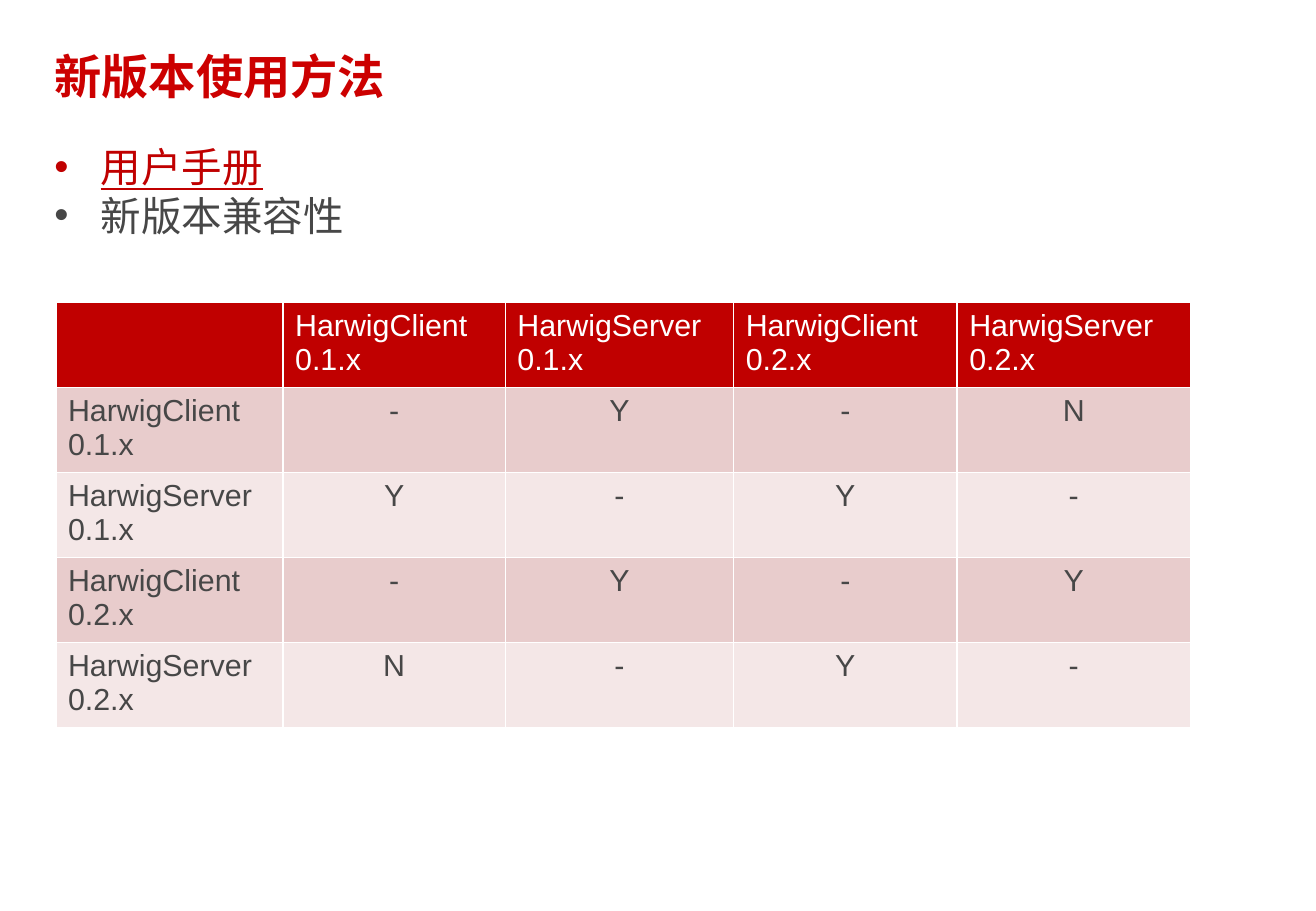
"""Build the slide on using the new version and its compatibility."""
from dataclasses import dataclass

from lxml import etree
from pptx import Presentation
from pptx import util as u
from pptx.dml.color import RGBColor
from pptx.enum import text
from pptx.oxml import ns

SLIDE_WIDTH, SLIDE_HEIGHT = u.Inches(10.83), u.Inches(7.5)
GRID_COLUMNS, GRID_ROWS = 130, 90
HEADING_FONT, TABLE_FONT = "Noto Sans CJK SC", "Arial"
RED, GREY, WHITE = "C00000", "474747", "FFFFFF"
BANDS = ("E8CCCC", "F4E7E7")
COMPONENTS = ("HarwigClient 0.1.x", "HarwigServer 0.1.x",
              "HarwigClient 0.2.x", "HarwigServer 0.2.x")
COMPATIBILITY = ("-Y-N", "Y-Y-", "-Y-Y", "N-Y-")
COLUMN_WIDTHS = (22.44, 21.96, 22.56, 22.08, 23.04)
ROW_HEIGHT = 8.4


@dataclass(frozen=True)
class Line:
    """One line of text and its look."""
    words: str
    size: int
    color: str
    bold: bool = False
    underline: bool = False
    bullet: bool = False


@dataclass(frozen=True)
class Block:
    """A text area in grid columns and rows."""
    left: float
    top: float
    width: float
    height: float
    lines: tuple[Line, ...]


BLOCKS = (
    Block(4.2, 4.08, 93.72, 8.28, (Line("新版本使用方法", 28, "CC0000", bold=True),)),
    Block(4.2, 13.44, 65.04, 10.92, (
        Line("用户手册", 24, RED, underline=True, bullet=True),
        Line("新版本兼容性", 24, GREY, bullet=True))),
)


def across(columns: float) -> int:
    """Turn grid columns into a length."""
    return round(SLIDE_WIDTH * columns / GRID_COLUMNS)


def down(rows: float) -> int:
    """Turn grid rows into a length."""
    return round(SLIDE_HEIGHT * rows / GRID_ROWS)


def rgb(color: str) -> RGBColor:
    """Turn a hex string into a colour."""
    return RGBColor.from_string(color)


def style(paragraph, size: int, color: str, font: str, bold: bool = False) -> None:
    """Format every run of a paragraph."""
    for run in paragraph.runs:
        run.font.size, run.font.name, run.font.bold = u.Pt(size), font, bold
        run.font.color.rgb = rgb(color)
        east_asian = etree.SubElement(run.font._element, ns.qn("a:ea"))
        east_asian.set("typeface", font)


def add_bullet(paragraph) -> None:
    """Give a paragraph a round bullet and a hanging indent."""
    properties = paragraph._p.get_or_add_pPr()
    properties.set("marL", str(u.Inches(0.38)))
    properties.set("indent", str(-u.Inches(0.38)))
    etree.SubElement(properties, ns.qn("a:buFont"), typeface=TABLE_FONT)
    etree.SubElement(properties, ns.qn("a:buChar"), char="•")


def draw_block(slide, block: Block) -> None:
    """Draw a text area line by line."""
    frame = slide.shapes.add_textbox(across(block.left), down(block.top),
                                     across(block.width), down(block.height)).text_frame
    frame.word_wrap = True
    frame.text = "\n".join(line.words for line in block.lines)
    for paragraph, line in zip(frame.paragraphs, block.lines):
        style(paragraph, line.size, line.color, HEADING_FONT, line.bold)
        for run in paragraph.runs:
            run.font.underline = line.underline
        if line.bullet:
            add_bullet(paragraph)


def add_borders(cell) -> None:
    """Give a cell white borders, ahead of its fill."""
    properties = cell._tc.get_or_add_tcPr()
    for place, side in enumerate(("lnL", "lnR", "lnT", "lnB")):
        border = etree.Element(ns.qn(f"a:{side}"), w=str(u.Pt(1)))
        paint = etree.SubElement(border, ns.qn("a:solidFill"))
        etree.SubElement(paint, ns.qn("a:srgbClr"), val=WHITE)
        properties.insert(place, border)


def draw_compatibility(slide, left: float, top: float) -> None:
    """Draw the table of which component works with which."""
    content = [("", *COMPONENTS)]
    content += [(name, *marks) for name, marks in zip(COMPONENTS, COMPATIBILITY)]
    table = slide.shapes.add_table(
        len(content), len(COLUMN_WIDTHS), across(left), down(top),
        across(sum(COLUMN_WIDTHS)), down(ROW_HEIGHT * len(content))).table
    for column, width in zip(table.columns, COLUMN_WIDTHS):
        column.width = across(width)
    for row_number, values in enumerate(content):
        table.rows[row_number].height = down(ROW_HEIGHT)
        is_header = row_number == 0
        for column_number, value in enumerate(values):
            cell = table.cell(row_number, column_number)
            cell.text = value
            cell.fill.solid()
            cell.fill.fore_color.rgb = rgb(RED if is_header else BANDS[(row_number - 1) % 2])
            add_borders(cell)
            paragraph = cell.text_frame.paragraphs[0]
            style(paragraph, 18, WHITE if is_header else GREY, TABLE_FONT)
            if not is_header and column_number:
                paragraph.alignment = text.PP_ALIGN.CENTER


def main() -> None:
    """Build and save the slide."""
    deck = Presentation()
    deck.slide_width, deck.slide_height = SLIDE_WIDTH, SLIDE_HEIGHT
    slide = deck.slides.add_slide(deck.slide_layouts[6])
    for block in BLOCKS:
        draw_block(slide, block)
    draw_compatibility(slide, 5.52, 29.88)
    deck.save("out.pptx")


if __name__ == "__main__":
    main()
